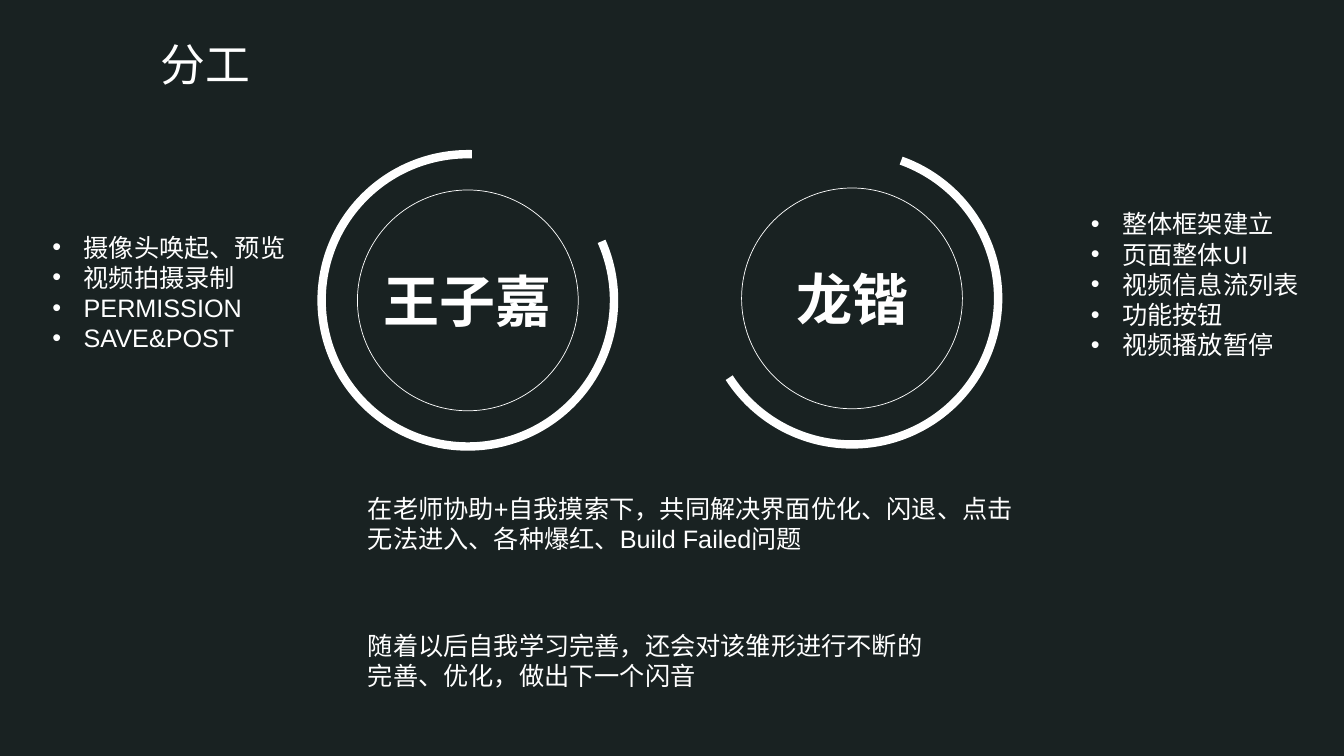
from dataclasses import dataclass

from lxml import etree
from pptx import Presentation
from pptx.dml.color import RGBColor
from pptx.enum.shapes import MSO_SHAPE
from pptx.enum.text import MSO_ANCHOR, MSO_AUTO_SIZE, PP_ALIGN
from pptx.oxml.ns import qn
from pptx.util import Inches, Pt

ELLIPSE, ARC = MSO_SHAPE.OVAL, MSO_SHAPE.ARC
MIDDLE, TOP = MSO_ANCHOR.MIDDLE, MSO_ANCHOR.TOP
LEFT, CENTER = PP_ALIGN.LEFT, PP_ALIGN.CENTER
NO_FIT = MSO_AUTO_SIZE.NONE
TWO_CONTENT_LAYOUT = 3


@dataclass(frozen=True)
class Theme:
    background: RGBColor = RGBColor(0x19, 0x22, 0x22)
    ink: RGBColor = RGBColor(0xFF, 0xFF, 0xFF)
    font: str = "Arial"
    title: int = 32
    name: int = 40
    body: int = 18
    thin: float = 0.5
    thick: float = 6


THEME = Theme()
ARC_UNITS_PER_DEGREE = 0.6
CIRCLE_SIZE, ARC_SIZE, NAME_HEIGHT = 2.19, 2.9, 0.77

# name, centre of the rings, start and end of the arc in degrees
MEMBERS = [
    ("王子嘉", (4.64, 2.98), (336.21, 271.62)),
    ("龙锴", (8.45, 2.96), (289.66, 147.1)),
]
# tasks, box of the list
TASKS = [
    (["摄像头唤起、预览", "视频拍摄录制", "PERMISSION", "SAVE&POST"],
     (0.42, 2.25, 5.57, 2.22)),
    (["整体框架建立", "页面整体UI", "视频信息流列表", "功能按钮", "视频播放暂停"],
     (10.72, 2.02, 2.36, 1.61)),
]
REMARKS = [
    ("在老师协助+自我摸索下，共同解决界面优化、闪退、点击无法进入、各种爆红、Build Failed问题",
     (3.55, 4.84, 6.7, 0.71)),
    ("随着以后自我学习完善，还会对该雏形进行不断的完善、优化，做出下一个闪音",
     (3.55, 6.2, 5.82, 0.71)),
]


def inches(box):
    return [Inches(length) for length in box]


def centred_box(centre, width, height):
    return inches((centre[0] - width / 2, centre[1] - height / 2, width, height))


def place(placeholder, box):
    placeholder.left, placeholder.top, placeholder.width, placeholder.height = inches(box)


def write(shape, lines, size, bold=False, align=LEFT, anchor=TOP):
    frame = shape.text_frame
    frame.text = "\n".join(lines)
    frame.word_wrap = True
    frame.auto_size = NO_FIT
    frame.vertical_anchor = anchor
    for paragraph in frame.paragraphs:
        paragraph.alignment = align
        paragraph.space_before = Pt(0)
        font = paragraph.font
        font.name, font.size, font.bold = THEME.font, Pt(size), bold
        font.color.rgb = THEME.ink
    return frame.paragraphs


def add_outline(slide, kind, box, width):
    outline = slide.shapes.add_shape(kind, *box)
    outline.shadow.inherit = False
    outline.fill.background()
    outline.line.color.rgb = THEME.ink
    outline.line.width = Pt(width)
    return outline


def add_title(slide, text, box):
    place(slide.shapes.title, box)
    heading = write(slide.shapes.title, [text], THEME.title, anchor=MIDDLE)[0]
    heading.line_spacing = 0.9


def add_member(slide, name, centre, angles):
    add_outline(slide, ELLIPSE, centred_box(centre, CIRCLE_SIZE, CIRCLE_SIZE), THEME.thin)
    arc = add_outline(slide, ARC, centred_box(centre, ARC_SIZE, ARC_SIZE), THEME.thick)
    for index, angle in enumerate(angles):
        arc.adjustments[index] = angle * ARC_UNITS_PER_DEGREE
    label = slide.shapes.add_textbox(*centred_box(centre, CIRCLE_SIZE, NAME_HEIGHT))
    write(label, [name], THEME.name, bold=True, align=CENTER, anchor=MIDDLE)


def add_tasks(placeholder, tasks, box):
    place(placeholder, box)
    for paragraph in write(placeholder, tasks, THEME.body):
        properties = paragraph._p.get_or_add_pPr()
        properties.set("marL", str(Inches(0.31)))
        properties.set("indent", str(Inches(-0.31)))
        bullet = etree.Element(qn("a:buChar"), char="•")
        properties.find(qn("a:defRPr")).addprevious(bullet)


def add_remark(slide, text, box):
    write(slide.shapes.add_textbox(*inches(box)), [text], THEME.body)


def build_division_of_work(presentation):
    slide = presentation.slides.add_slide(presentation.slide_layouts[TWO_CONTENT_LAYOUT])
    slide.background.fill.solid()
    slide.background.fill.fore_color.rgb = THEME.background
    add_title(slide, "分工", (1.49, 0.32, 10.93, 0.69))
    for member in MEMBERS:
        add_member(slide, *member)
    for index, (tasks, box) in enumerate(TASKS, start=1):
        add_tasks(slide.placeholders[index], tasks, box)
    for remark in REMARKS:
        add_remark(slide, *remark)


def main():
    presentation = Presentation()
    presentation.slide_width, presentation.slide_height = Inches(13.33), Inches(7.5)
    build_division_of_work(presentation)
    presentation.save("out.pptx")


if __name__ == "__main__":
    main()
